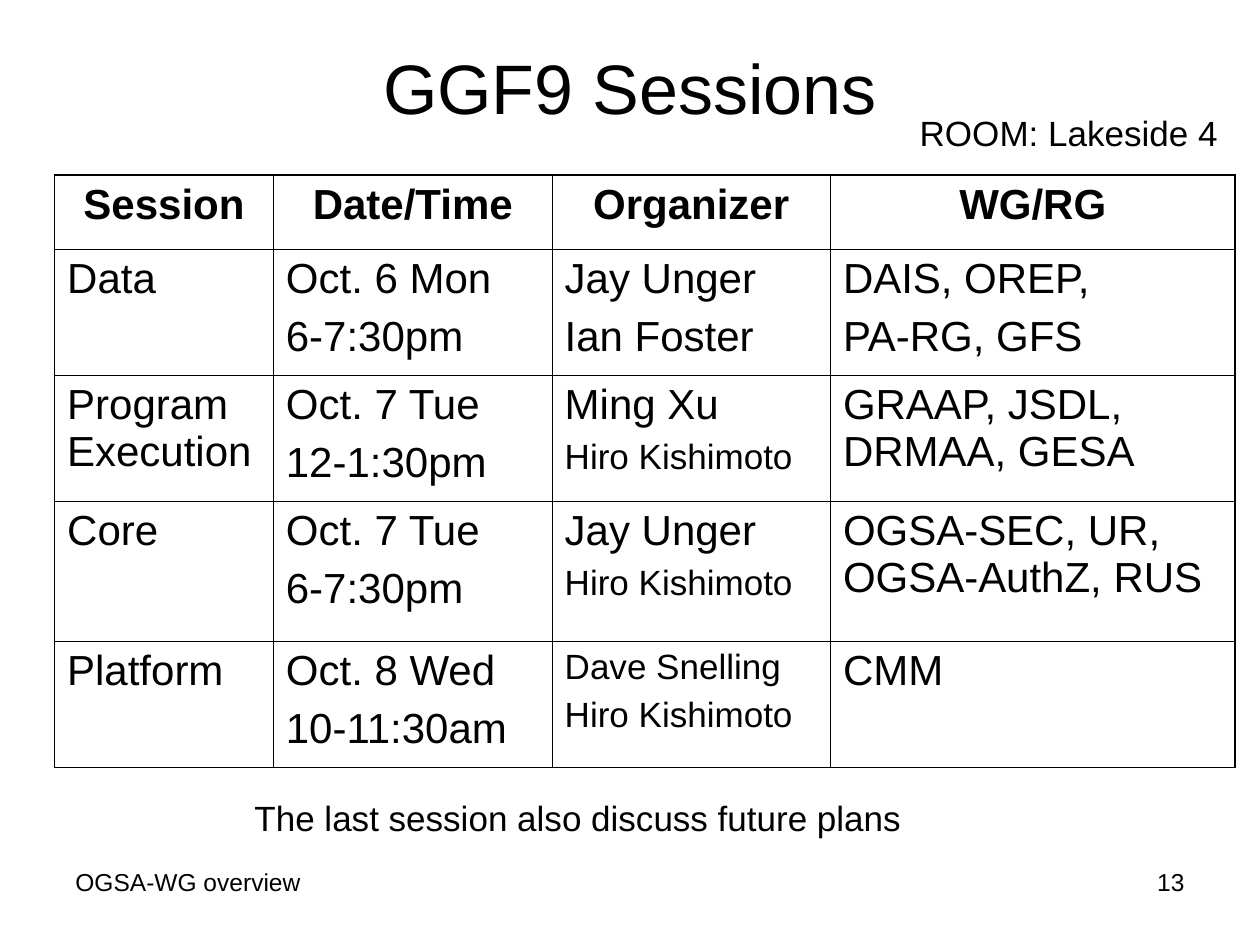
import pptx
import pptx.util
import pptx.dml.color
import pptx.enum.text
import pptx.oxml
import pptx.oxml.ns

Cm = pptx.util.Cm
Pt = pptx.util.Pt
Align = pptx.enum.text.PP_ALIGN
Anchor = pptx.enum.text.MSO_ANCHOR
Fit = pptx.enum.text.MSO_AUTO_SIZE

COLORS = {"ink": "000000"}
FONT = "Arial"
THIN, THICK = 0.45, 1.08
COLS = [4.41, 5.62, 5.61, 8.16]
ROWS = [1.5, 2.54, 2.54, 2.82, 2.54]
SMALL = {"Hiro Kishimoto", "Dave Snelling"}
CELLS = [
    ["Session", "Date/Time", "Organizer", "WG/RG"],
    ["Data", "Oct. 6 Mon\n6-7:30pm", "Jay Unger\nIan Foster",
     "DAIS, OREP,\nPA-RG, GFS"],
    ["Program Execution", "Oct. 7 Tue\n12-1:30pm",
     "Ming Xu\nHiro Kishimoto", "GRAAP, JSDL, DRMAA, GESA"],
    ["Core", "Oct. 7 Tue\n6-7:30pm", "Jay Unger\nHiro Kishimoto",
     "OGSA-SEC, UR, OGSA-AuthZ, RUS"],
    ["Platform", "Oct. 8 Wed\n10-11:30am",
     "Dave Snelling\nHiro Kishimoto", "CMM"],
]


def style(para, size, align=Align.LEFT, bold=False):
    """Set the font and alignment of a paragraph."""
    para.alignment = align
    font = para.font
    font.name, font.size, font.bold = FONT, Pt(size), bold
    font.color.rgb = pptx.dml.color.RGBColor.from_string(COLORS["ink"])


def add_title(slide, text):
    """Place and format the title placeholder."""
    title = slide.shapes.title
    title.left, title.top = Cm(1.27), Cm(0.76)
    title.width, title.height = Cm(22.86), Cm(1.96)
    frame = title.text_frame
    frame.text = text
    frame.vertical_anchor = Anchor.MIDDLE
    style(frame.paragraphs[0], 40, Align.CENTER)


def add_text(slide, text, box, size, align=Align.LEFT, wrap=False):
    """Add a one-line text box that grows unless it wraps."""
    frame = slide.shapes.add_textbox(*map(Cm, box)).text_frame
    frame.word_wrap = wrap
    frame.auto_size = Fit.NONE if wrap else Fit.SHAPE_TO_FIT_TEXT
    frame.text = text
    style(frame.paragraphs[0], size, align)


def add_edge(cell, side, width):
    """Draw one border of a cell."""
    space = pptx.oxml.ns.nsdecls("a")
    cell._tc.get_or_add_tcPr().append(pptx.oxml.parse_xml(
        f'<a:ln{side} {space} w="{Pt(width)}"><a:solidFill>'
        f'<a:srgbClr val="{COLORS["ink"]}"/></a:solidFill></a:ln{side}>'))


def fill_cell(cell, text, head):
    """Write the lines of a cell."""
    cell.text = text
    for num, para in enumerate(cell.text_frame.paragraphs):
        size = 20 if para.text in SMALL else 24
        if num:
            para.space_before = Pt(size / 4)
        style(para, size, Align.CENTER if head else Align.LEFT, head)


def add_grid(slide):
    """Add the session table with a thick outer frame."""
    table = slide.shapes.add_table(
        len(ROWS), len(COLS), Cm(1.1), Cm(3.53),
        Cm(sum(COLS)), Cm(sum(ROWS))).table
    table.first_row = table.horz_banding = False
    for col, width in zip(table.columns, COLS):
        col.width = Cm(width)
    for r, height in enumerate(ROWS):
        table.rows[r].height = Cm(height)
        for c, text in enumerate(CELLS[r]):
            cell = table.cell(r, c)
            fill_cell(cell, text, r == 0)
            outer = {"L": c == 0, "R": c == len(COLS) - 1,
                     "T": r == 0, "B": r == len(ROWS) - 1}
            for side, edge in outer.items():
                add_edge(cell, side, THICK if edge else THIN)
            cell.fill.background()


def main():
    """Build and save the slide."""
    deck = pptx.Presentation()
    deck.slide_width, deck.slide_height = Cm(25.4), Cm(19.05)
    slide = deck.slides.add_slide(deck.slide_layouts[5])
    add_title(slide, "GGF9 Sessions")
    add_grid(slide)
    add_text(slide, "ROOM: Lakeside 4", (18.29, 2.13, 6.6, 1.12), 20)
    add_text(slide, "The last session also discuss future plans",
             (4.88, 15.93, 13.6, 1.12), 20)
    add_text(slide, "13", (18.21, 17.35, 5.92, 1.32), 14, Align.RIGHT, True)
    add_text(slide, "OGSA-WG overview", (1.27, 17.35, 5.92, 1.32), 14,
             wrap=True)
    deck.save("out.pptx")


if __name__ == "__main__":
    main()
